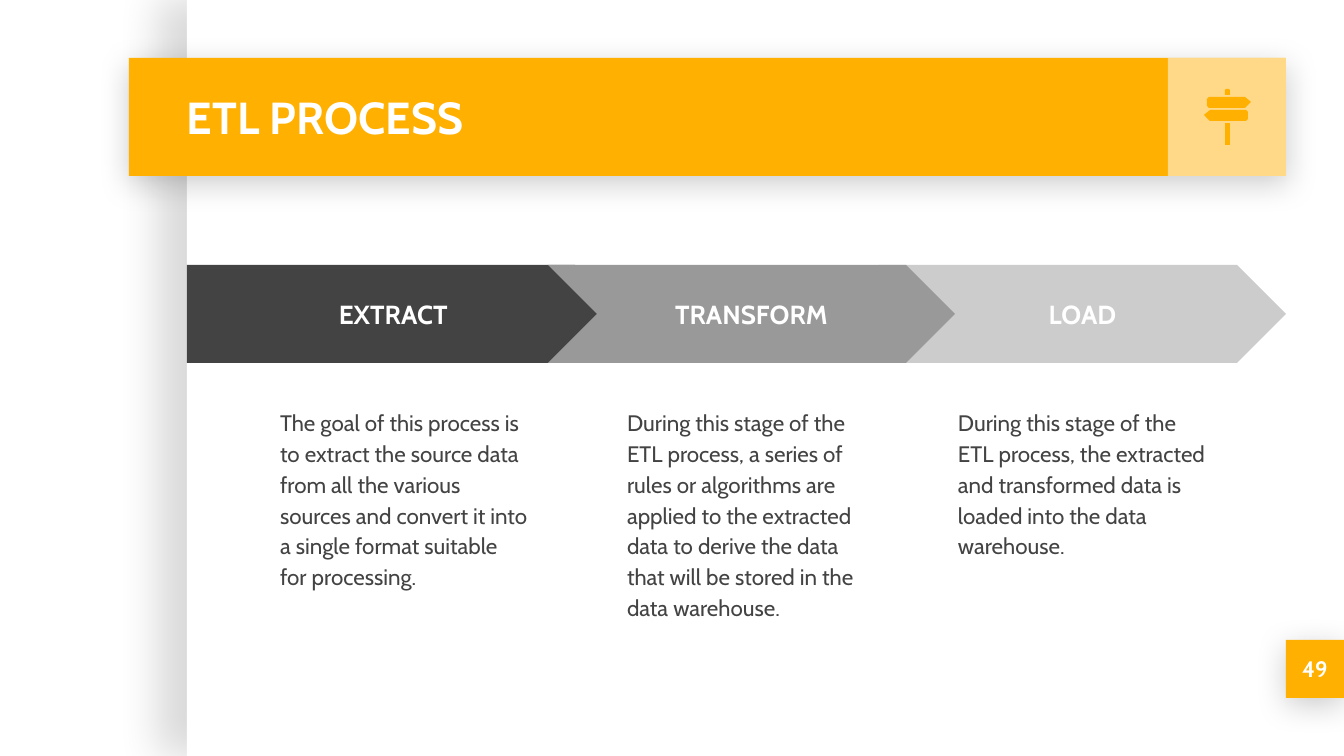
"""Build the ETL process slide with a title banner and three chevron steps."""

from dataclasses import dataclass

import lxml.etree
import pptx
import pptx.dml.color
import pptx.enum.shapes
import pptx.enum.text
import pptx.oxml.ns
import pptx.util

EMU_PER_PX = 914400 / 134.4
FONT = "Cabin"
AMBER = "FFB000"
WHITE = "FFFFFF"
CHARCOAL = "434343"
INSET = 13

SHAPE = pptx.enum.shapes.MSO_SHAPE
ALIGN = pptx.enum.text.PP_ALIGN
ANCHOR = pptx.enum.text.MSO_ANCHOR


@dataclass(frozen=True)
class Box:
    left: int
    top: int
    width: int
    height: int

    def emu(self) -> tuple:
        return tuple(px(side) for side in (self.left, self.top, self.width, self.height))


@dataclass(frozen=True)
class Shadow:
    opacity: int
    blur: float
    distance: float
    angle: int


@dataclass(frozen=True)
class TextStyle:
    size: int
    color: str
    bold: bool = True
    align: ALIGN = ALIGN.CENTER
    anchor: ANCHOR = ANCHOR.MIDDLE
    line_spacing: float = 1.0


@dataclass(frozen=True)
class Step:
    name: str
    description: str
    outline: SHAPE
    fill: str
    left: int
    width: int
    text_left: int


PANEL_SHADOW = Shadow(15, 22.5, 15, 180)
BANNER_SHADOW = Shadow(20, 16.9, 3.8, 90)

TITLE_STYLE = TextStyle(24, WHITE, align=ALIGN.LEFT)
NUMBER_STYLE = TextStyle(12, WHITE)
STEP_STYLE = TextStyle(14, WHITE)
BODY_STYLE = TextStyle(12, CHARCOAL, False, ALIGN.LEFT, ANCHOR.TOP, 1.15)

STEPS = (
    Step("LOAD", "During this stage of the ETL process, the extracted and transformed "
         "data is loaded into the data warehouse.",
         SHAPE.CHEVRON, "CCCCCC", 879, 407, 945),
    Step("EXTRACT", "The goal of this process is to extract the source data from all the "
         "various sources and convert it into a single format suitable for processing.",
         SHAPE.PENTAGON, CHARCOAL, 187, 437, 267),
    Step("TRANSFORM", "During this stage of the ETL process, a series of rules or algorithms "
         "are applied to the extracted data to derive the data that will be stored in the "
         "data warehouse.",
         SHAPE.CHEVRON, "999999", 548, 407, 614),
)

SIGNPOST = (
    ((1209, 97), (1245, 97), (1251, 102), (1245, 108), (1209, 108), (1207, 106), (1207, 99)),
    ((1210, 110), (1246, 110), (1248, 112), (1248, 119), (1246, 121), (1210, 121), (1204, 115)),
    ((1226, 89), (1229, 89), (1230, 90), (1230, 95), (1225, 95), (1225, 90)),
    ((1225, 123), (1230, 123), (1230, 145), (1225, 145)),
)


def px(length: float) -> int:
    return round(length * EMU_PER_PX)


def rgb(color: str) -> pptx.dml.color.RGBColor:
    return pptx.dml.color.RGBColor.from_string(color)


def add_alpha(color_element, percent: int) -> None:
    lxml.etree.SubElement(
        color_element, pptx.oxml.ns.qn("a:alpha"), val=str(percent * 1000))


def paint(shape, color: str) -> None:
    shape.shadow.inherit = False
    shape.fill.solid()
    shape.fill.fore_color.rgb = rgb(color)
    shape.line.fill.background()


def cast_shadow(shape, shadow: Shadow) -> None:
    qn = pptx.oxml.ns.qn
    outer = lxml.etree.SubElement(
        shape.element.spPr.find(qn("a:effectLst")), qn("a:outerShdw"),
        blurRad=str(pptx.util.Pt(shadow.blur)), dist=str(pptx.util.Pt(shadow.distance)),
        dir=str(shadow.angle * 60000), algn="bl", rotWithShape="0")
    add_alpha(lxml.etree.SubElement(outer, qn("a:srgbClr"), val="000000"), shadow.opacity)


def write(shape, text: str, style: TextStyle) -> None:
    frame = shape.text_frame
    frame.text = text
    frame.word_wrap = True
    frame.auto_size = pptx.enum.text.MSO_AUTO_SIZE.NONE
    frame.vertical_anchor = style.anchor
    frame.margin_left = frame.margin_right = px(INSET)
    frame.margin_top = frame.margin_bottom = px(INSET)
    paragraph = frame.paragraphs[0]
    paragraph.alignment = style.align
    paragraph.line_spacing = style.line_spacing
    font = paragraph.runs[0].font
    font.name = FONT
    font.size = pptx.util.Pt(style.size)
    font.bold = style.bold
    font.color.rgb = rgb(style.color)


def add_block(shapes, outline: SHAPE, box: Box, color: str):
    shape = shapes.add_shape(outline, *box.emu())
    paint(shape, color)
    return shape


def add_step(slide, step: Step) -> None:
    shapes = slide.shapes.add_group_shape().shapes
    arrow = add_block(shapes, step.outline, Box(step.left, 265, step.width, 98), step.fill)
    arrow.adjustments[0] = 0.5
    write(arrow, step.name, STEP_STYLE)
    description = shapes.add_textbox(*Box(step.text_left, 392, 275, 282).emu())
    write(description, step.description, BODY_STYLE)


def add_signpost(slide) -> None:
    shapes = slide.shapes.add_group_shape().shapes
    for start, *points in SIGNPOST:
        builder = shapes.build_freeform(*start, scale=EMU_PER_PX)
        builder.add_line_segments(points, close=True)
        paint(builder.convert_to_shape(), AMBER)


def place_title(slide, text: str, box: Box) -> None:
    title = slide.shapes.title
    title.left, title.top, title.width, title.height = box.emu()
    write(title, text, TITLE_STYLE)
    title.element.getparent().append(title.element)


def main() -> None:
    presentation = pptx.Presentation()
    presentation.slide_width = px(1344)
    presentation.slide_height = px(756)
    slide = presentation.slides.add_slide(presentation.slide_layouts[5])
    shapes = slide.shapes

    panel = add_block(shapes, SHAPE.RECTANGLE, Box(187, 0, 1157, 756), WHITE)
    cast_shadow(panel, PANEL_SHADOW)
    badge = add_block(shapes, SHAPE.RECTANGLE, Box(1286, 640, 58, 58), AMBER)
    cast_shadow(badge, BANNER_SHADOW)
    write(badge, "49", NUMBER_STYLE)
    banner = add_block(shapes, SHAPE.RECTANGLE, Box(129, 58, 1157, 118), AMBER)
    cast_shadow(banner, BANNER_SHADOW)
    icon_tile = add_block(shapes, SHAPE.RECTANGLE, Box(1168, 58, 118, 118), WHITE)
    tile_color = icon_tile.element.spPr.find(
        f"{pptx.oxml.ns.qn('a:solidFill')}/{pptx.oxml.ns.qn('a:srgbClr')}")
    add_alpha(tile_color, 53)

    place_title(slide, "ETL PROCESS", Box(174, 58, 990, 118))
    add_signpost(slide)
    for step in STEPS:
        add_step(slide, step)
    presentation.save("out.pptx")


if __name__ == "__main__":
    main()
